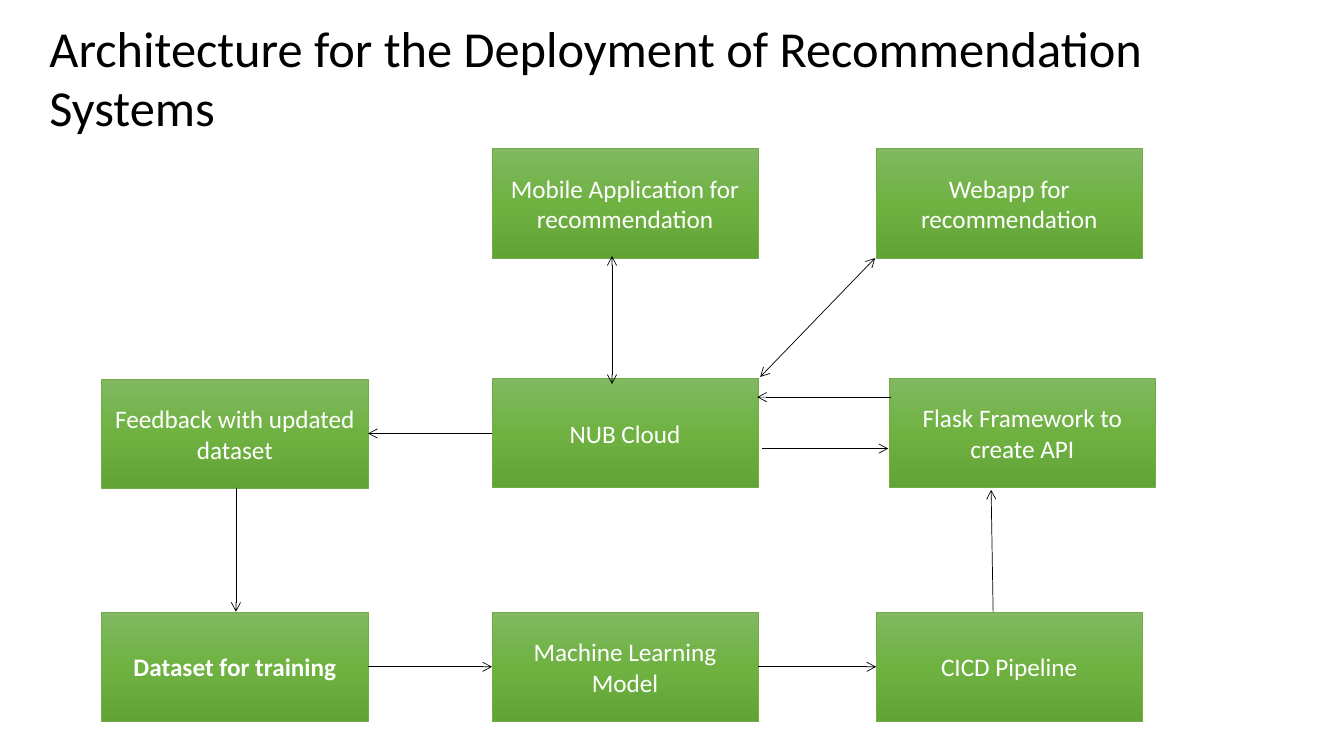
from copy import deepcopy

from lxml.etree import SubElement
from pptx import Presentation
from pptx.dml.color import RGBColor
from pptx.enum.shapes import MSO_CONNECTOR, MSO_SHAPE
from pptx.enum.text import MSO_ANCHOR, MSO_AUTO_SIZE, PP_ALIGN
from pptx.oxml.ns import qn
from pptx.util import Inches, Pt


def color(hex_string):
    return RGBColor.from_string(hex_string)


def apply_format(target, values):
    for name, value in values.items():
        setattr(target, name, value)


class Diagram:
    """Holds the style and the slide being drawn."""
    font = "Calibri"
    gradient = [(0, "81B861"), (0.5, "6FB242"), (1, "62A336")]
    border, ink, label = "70AD47", "000000", "FFFFFF"
    box_width, box_height = 2.64, 1.09

    def __init__(self, slide):
        self.slide = slide

    def set_text(self, shape, text, size, hex_string, align, spacing=1.0, bold=False):
        frame = shape.text_frame
        apply_format(frame, {"text": text, "word_wrap": True,
                             "auto_size": MSO_AUTO_SIZE.NONE,
                             "vertical_anchor": MSO_ANCHOR.MIDDLE})
        paragraph = frame.paragraphs[0]
        apply_format(paragraph, {"alignment": align, "line_spacing": spacing})
        font = paragraph.runs[0].font
        apply_format(font, {"name": self.font, "size": Pt(size), "bold": bold})
        font.color.rgb = color(hex_string)

    def title(self, text, left, top, width, height):
        shape = self.slide.shapes.title
        apply_format(shape, {"left": Inches(left), "top": Inches(top),
                             "width": Inches(width), "height": Inches(height)})
        self.set_text(shape, text, 36, self.ink, PP_ALIGN.LEFT, spacing=0.97)
        shape.text_frame.margin_right = Inches(0.4)

    def box(self, text, left, top, bold=False):
        shape = self.slide.shapes.add_shape(
            MSO_SHAPE.RECTANGLE, Inches(left), Inches(top),
            Inches(self.box_width), Inches(self.box_height))
        shape.shadow.inherit = False
        self.fill_gradient(shape)
        shape.line.color.rgb = color(self.border)
        shape.line.width = Pt(0.5)
        self.set_text(shape, text, 18, self.label, PP_ALIGN.CENTER, bold=bold)

    def fill_gradient(self, shape):
        shape.fill.gradient()
        shape.fill.gradient_angle = 270  # counter-clockwise: top to bottom
        stop_list = shape._element.spPr.find(qn("a:gradFill")).find(qn("a:gsLst"))
        stop_list.append(deepcopy(stop_list[0]))
        for stop, (position, hex_string) in zip(shape.fill.gradient_stops, self.gradient):
            stop.position = position
            stop.color.rgb = color(hex_string)

    def arrow(self, start, end, both_ways=False):
        points = [Inches(value) for value in (*start, *end)]
        connector = self.slide.shapes.add_connector(MSO_CONNECTOR.STRAIGHT, *points)
        connector.line.color.rgb = color(self.ink)
        connector.line.width = Pt(0.5)
        line = connector._element.spPr.find(qn("a:ln"))
        for tag in ("a:headEnd", "a:tailEnd") if both_ways else ("a:tailEnd",):
            SubElement(line, qn(tag), type="arrow")
        SubElement(connector._element.spPr, qn("a:effectLst"))


presentation = Presentation()
presentation.slide_width, presentation.slide_height = Inches(13.33), Inches(7.5)
diagram = Diagram(presentation.slides.add_slide(presentation.slide_layouts[5]))

diagram.title("Architecture for the Deployment of Recommendation Systems",
              0.39, 0.32, 12.8, 0.93)

# Boxes on three columns and three rows
left, center, right = 1.01, 4.88, 8.69
clients, services, training = 1.47, 3.75, 6.07
api_left = 8.82
for text, column, row in [
    ("Mobile Application for recommendation", center, clients),
    ("Webapp for recommendation", right, clients),
    ("Feedback with updated dataset", left, services + 0.01),
    ("NUB Cloud", center, services),
    ("Flask Framework to create API", api_left, services),
    ("Dataset for training", left, training),
    ("Machine Learning Model", center, training),
    ("CICD Pipeline", right, training),
]:
    diagram.box(text, column, row, bold=text.startswith("Dataset"))

# Training row, left to right, then up to the API
left_edge, center_edge = left + diagram.box_width, center + diagram.box_width
training_middle = training + diagram.box_height / 2
diagram.arrow((left_edge, training_middle), (center, training_middle))
diagram.arrow((center_edge, training_middle), (right, training_middle))
diagram.arrow((9.85, training), (9.83, 4.86))

# Cloud exchanges with the API and sends feedback to the dataset
diagram.arrow((8.84, 3.94), (7.51, 3.94))
diagram.arrow((7.56, 4.45), (8.81, 4.45))
diagram.arrow((center, 4.3), (left_edge, 4.3))
diagram.arrow((2.34, 4.84), (2.34, training))

# Cloud and clients, both ways
diagram.arrow((6.07, 2.54), (6.07, 3.81), both_ways=True)
diagram.arrow((8.68, 2.56), (7.54, 3.74), both_ways=True)

presentation.save("out.pptx")
